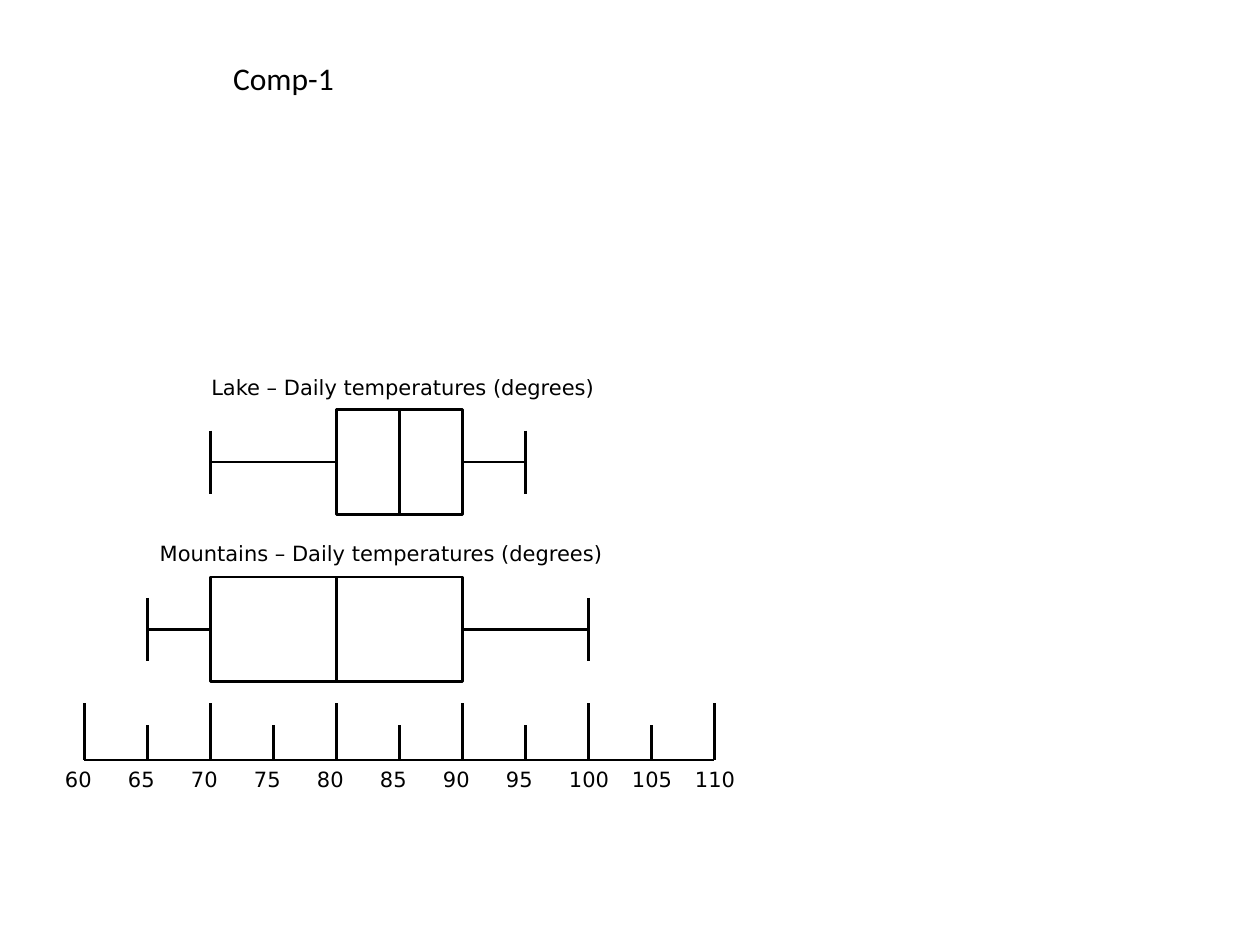
from dataclasses import dataclass

from lxml import etree
from pptx import Presentation, util as u
from pptx.dml.color import RGBColor
from pptx.enum import shapes, text
from pptx.oxml.ns import qn

BLACK = RGBColor(0x00, 0x00, 0x00)
WHITE = RGBColor(0xFF, 0xFF, 0xFF)
LABEL_FONT = {"name": "DejaVu Sans", "size": u.Pt(12)}
TITLE_FONT = {"name": "Calibri", "size": u.Pt(18)}
LINE_WIDTH = u.Pt(1.5)

SCALE_MIN, SCALE_MAX, SCALE_STEP = 60, 110, 5
SCALE_LEFT, STEP_WIDTH = 1.7, 1.27
AXIS_Y, MAJOR_TICK, MINOR_TICK = 15.32, 1.15, 0.71
BOX_HEIGHT, CAP_HEIGHT, LABEL_HEIGHT = 2.11, 1.27, 0.76


@dataclass
class BoxPlot:
    caption: str
    caption_left: float
    caption_top: float
    caption_width: float
    box_top: float
    low: int
    q1: int
    q3: int
    high: int


PLOTS = [
    BoxPlot("Lake – Daily temperatures (degrees)",
            4.01, 7.42, 8.46, 8.26, 70, 80, 90, 95),
    BoxPlot("Mountains – Daily temperatures (degrees)",
            2.97, 10.77, 9.73, 11.63, 65, 70, 90, 100),
]


def scale_x(value: int) -> float:
    return SCALE_LEFT + (value - SCALE_MIN) / SCALE_STEP * STEP_WIDTH


def add_line(sps, x1: float, y1: float, x2: float, y2: float):
    cx = sps.add_connector(shapes.MSO_CONNECTOR.STRAIGHT,
                           u.Cm(x1), u.Cm(y1), u.Cm(x2), u.Cm(y2))
    cx.line.color.rgb = BLACK
    cx.line.width = LINE_WIDTH
    etree.SubElement(cx._element.spPr, qn("a:effectLst"))
    return cx


def add_label(sps, words: str, left: float, top: float, width: float,
              height: float = LABEL_HEIGHT, font: dict = LABEL_FONT) -> None:
    sp = sps.add_textbox(u.Cm(left), u.Cm(top), u.Cm(width), u.Cm(height))
    tf = sp.text_frame
    tf.word_wrap = True
    tf.auto_size = text.MSO_AUTO_SIZE.SHAPE_TO_FIT_TEXT
    r = tf.paragraphs[0].add_run()
    r.text = words
    for key, value in font.items():
        setattr(r.font, key, value)
    r.font.color.rgb = BLACK


def add_box_plot(sps, plot: BoxPlot) -> None:
    mid = plot.box_top + BOX_HEIGHT / 2
    low, q1, q3, high = map(scale_x, (plot.low, plot.q1, plot.q3, plot.high))
    for x in (low, high):
        add_line(sps, x, mid - CAP_HEIGHT / 2, x, mid + CAP_HEIGHT / 2)
    box = sps.add_shape(shapes.MSO_SHAPE.RECTANGLE, u.Cm(q1), u.Cm(plot.box_top),
                        u.Cm(q3 - q1), u.Cm(BOX_HEIGHT))
    box.shadow.inherit = False
    box.fill.solid()
    box.fill.fore_color.rgb = WHITE
    box.line.color.rgb = BLACK
    box.line.width = LINE_WIDTH
    add_line(sps, low, mid, q1, mid).end_connect(box, 1)
    add_line(sps, q3, mid, high, mid).begin_connect(box, 3)
    centre = (q1 + q3) / 2
    median = add_line(sps, centre, plot.box_top, centre, plot.box_top + BOX_HEIGHT)
    median.begin_connect(box, 0)
    median.end_connect(box, 2)
    add_label(sps, plot.caption, plot.caption_left, plot.caption_top,
              plot.caption_width)


def add_scale(sps) -> None:
    add_line(sps, scale_x(SCALE_MIN), AXIS_Y, scale_x(SCALE_MAX), AXIS_Y)
    for value in range(SCALE_MIN, SCALE_MAX + 1, SCALE_STEP):
        x = scale_x(value)
        tick = MINOR_TICK if value % 10 else MAJOR_TICK
        add_line(sps, x, AXIS_Y, x, AXIS_Y - tick)
        add_label(sps, str(value), x - 0.64, AXIS_Y, 1.07 if value < 100 else 1.47)


def main() -> None:
    prs = Presentation()
    prs.slide_width, prs.slide_height = u.Cm(25.4), u.Cm(19.05)
    sps = prs.slides.add_slide(prs.slide_layouts[6]).shapes
    add_label(sps, "Comp-1", 4.45, 1.07, 3.81, 1.02, TITLE_FONT)
    for plot in PLOTS:
        add_box_plot(sps, plot)
    add_scale(sps)
    prs.save("out.pptx")


if __name__ == "__main__":
    main()
